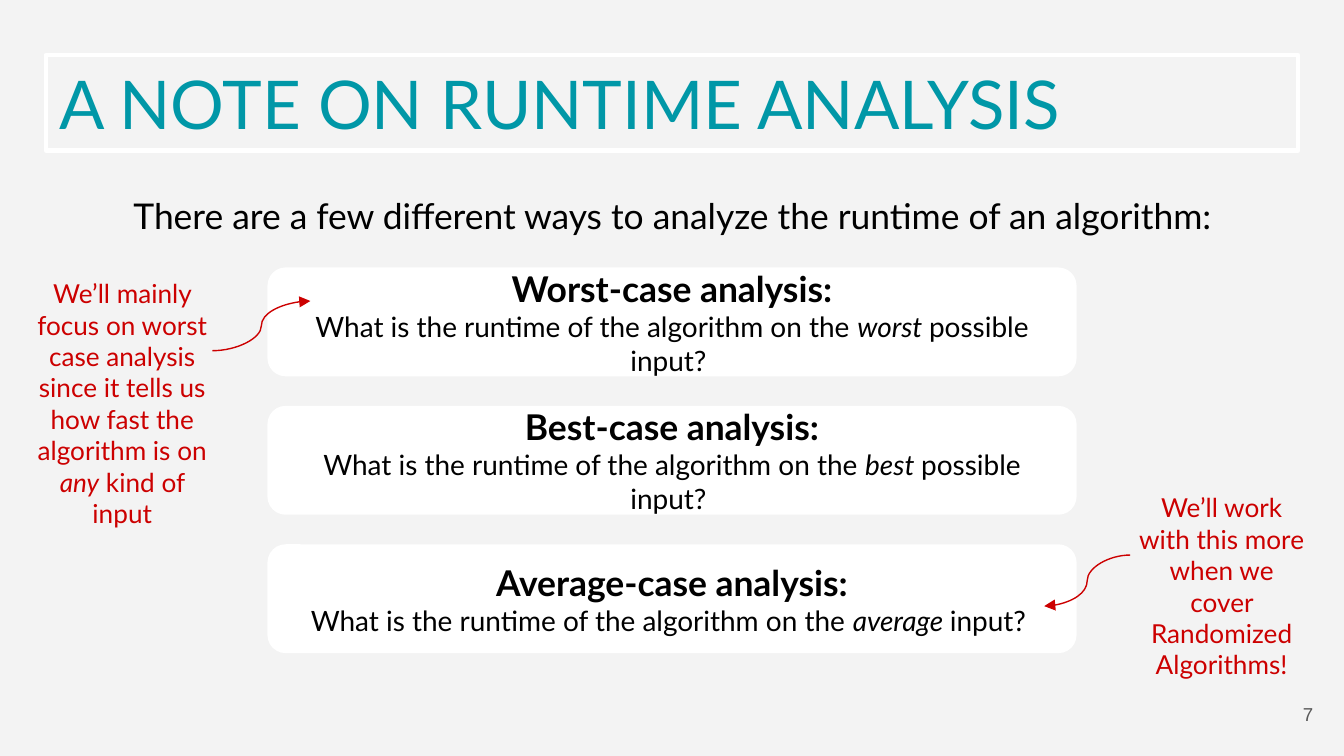
"""Build the slide on worst-, best- and average-case runtime analysis."""
from dataclasses import dataclass

from lxml import etree
from pptx import Presentation
from pptx import util as u
from pptx.dml.color import RGBColor
from pptx.enum import shapes, text
from pptx.oxml.ns import qn

COLORS = {"bg": "F3F3F3", "title": "0097A7", "card": "FFFFFF",
          "text": "000000", "note": "CC0000", "number": "595959"}
CENTER = text.PP_ALIGN.CENTER
MIDDLE = text.MSO_ANCHOR.MIDDLE


@dataclass
class Run:
    text: str
    size: float
    color: str = "text"
    bold: bool = False
    italic: bool = False
    font: str = "Lato"


@dataclass
class Case:
    name: str
    emphasis: str
    ending: str


@dataclass
class Note:
    left: float
    top: float
    runs: list[Run]
    start: tuple[float, float]
    end: tuple[float, float]


CASES = [
    Case("Worst", "worst ", "possible input? "),
    Case("Best", "best ", "possible input? "),
    Case("Average", "average ", "input? "),
]
NOTES = [
    Note(0.17, 1.85, [
        Run("We’ll mainly focus on worst case analysis since it tells us "
            "how fast the algorithm is on ", 14, "note"),
        Run("any", 14, "note", italic=True),
        Run(" kind of input", 14, "note"),
    ], (1.58, 2.61), (2.31, 2.24)),
    Note(8.35, 3.21, [
        Run("We’ll work with this more when we cover Randomized Algorithms!",
            14, "note"),
    ], (8.41, 4.13), (7.77, 4.51)),
]


def rgb(name: str) -> RGBColor:
    """Look up a palette colour."""
    return RGBColor.from_string(COLORS[name])


def write(sp, paragraphs: list[list[Run]], align=CENTER, anchor=MIDDLE,
          spacing: float = 1.0) -> None:
    """Fill a shape with paragraphs of formatted runs."""
    tf = sp.text_frame
    tf.word_wrap = True
    tf.auto_size = text.MSO_AUTO_SIZE.NONE
    tf.vertical_anchor = anchor
    tf.margin_left = tf.margin_right = u.Inches(0.1)
    tf.margin_top = tf.margin_bottom = u.Inches(0.1)
    for i, runs in enumerate(paragraphs):
        p = tf.add_paragraph() if i else tf.paragraphs[0]
        p.alignment = align
        p.line_spacing = spacing
        for run in runs:
            r = p.add_run()
            r.text = run.text
            r.font.name = run.font
            r.font.size = u.Pt(run.size)
            r.font.bold = run.bold
            r.font.italic = run.italic
            r.font.color.rgb = rgb(run.color)


def place(sp, left: float, top: float, width: float, height: float) -> None:
    """Move and size a shape in inches."""
    sp.left, sp.top = u.Inches(left), u.Inches(top)
    sp.width, sp.height = u.Inches(width), u.Inches(height)


def add_text(s, left: float, top: float, width: float, height: float,
             runs: list[Run], **layout) -> None:
    """Add a one-paragraph text box."""
    sp = s.shapes.add_textbox(*map(u.Inches, (left, top, width, height)))
    write(sp, [runs], **layout)


def add_title(s) -> None:
    """Format the title placeholder."""
    sp = s.shapes.title
    place(sp, 0.34, 0.41, 9.32, 0.71)
    sp.line.color.rgb = rgb("card")
    sp.line.width = u.Pt(2.25)
    write(sp, [[Run("A NOTE ON RUNTIME ANALYSIS", 36, "title")]],
          align=text.PP_ALIGN.LEFT)


def add_case(s, case: Case, top: float) -> None:
    """Add a rounded card for one kind of analysis."""
    sp = s.shapes.add_shape(shapes.MSO_SHAPE.ROUNDED_RECTANGLE,
                            *map(u.Inches, (1.99, top, 6.02, 0.81)))
    sp.shadow.inherit = False
    sp.fill.solid()
    sp.fill.fore_color.rgb = rgb("card")
    sp.line.fill.background()
    write(sp, [
        [Run(f"{case.name}-case analysis:", 19, bold=True)],
        [Run("What is the runtime of the algorithm on the ", 15),
         Run(case.emphasis, 15, italic=True),
         Run(case.ending, 15)],
    ])


def add_note(s, note: Note) -> None:
    """Add a side note and its curved arrow."""
    add_text(s, note.left, note.top, 1.48, 2.3, note.runs)
    cxn = s.shapes.add_connector(shapes.MSO_CONNECTOR.CURVE,
                                 *map(u.Inches, note.start + note.end))
    cxn.line.color.rgb = rgb("note")
    cxn.line.width = u.Pt(0.75)
    ln = cxn._element.spPr.find(qn("a:ln"))
    etree.SubElement(ln, qn("a:tailEnd"), type="triangle")
    etree.SubElement(cxn._element.spPr, qn("a:effectLst"))


def main() -> None:
    """Build and save the slide."""
    prs = Presentation()
    prs.slide_width, prs.slide_height = u.Inches(10), u.Inches(10 * 9 / 16)
    s = prs.slides.add_slide(prs.slide_layouts[5])
    s.background.fill.solid()
    s.background.fill.fore_color.rgb = rgb("bg")
    add_title(s)
    add_text(s, 0.32, 1.3, 9.37, 0.46,
             [Run("There are a few different ways to analyze the runtime "
                  "of an algorithm:", 19)],
             anchor=text.MSO_ANCHOR.TOP, spacing=1.15)
    for i, case in enumerate(CASES):
        add_case(s, case, 1.99 + i * 1.03)
    for note in NOTES:
        add_note(s, note)
    add_text(s, 9.27, 5.1, 0.6, 0.43, [Run("7", 10, "number", font="Arial")],
             align=text.PP_ALIGN.RIGHT)
    prs.save("out.pptx")


if __name__ == "__main__":
    main()
